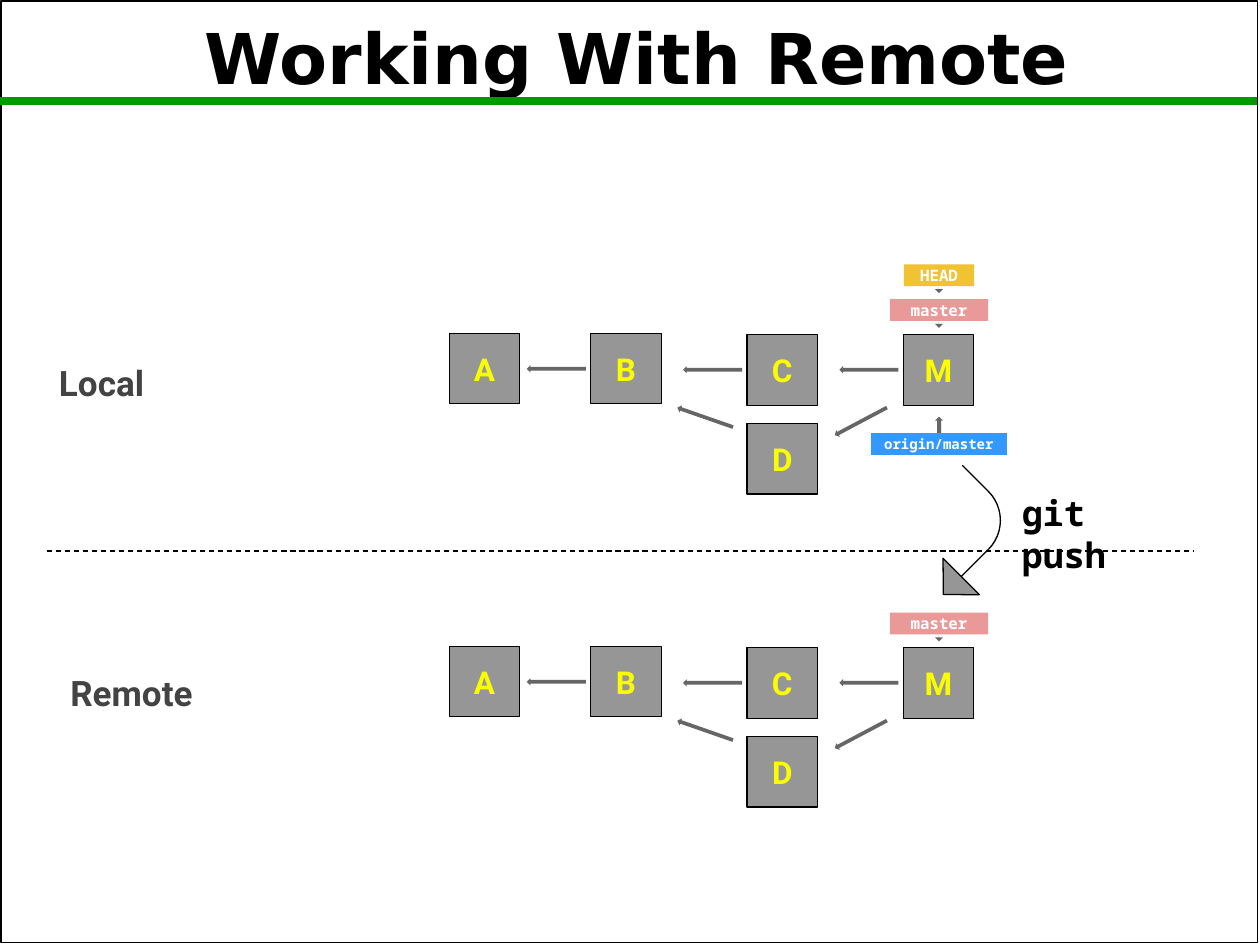
from pptx import Presentation
from pptx.dml.color import RGBColor
from pptx.enum.dml import MSO_LINE
from pptx.enum.shapes import MSO_CONNECTOR, MSO_SHAPE
from pptx.enum.text import MSO_ANCHOR, MSO_AUTO_SIZE, PP_ALIGN
from pptx.oxml.ns import qn
from pptx.util import Cm, Pt
from lxml import etree

RECT, LEFT, DOWN, BENT = (MSO_SHAPE.RECTANGLE, MSO_SHAPE.LEFT_ARROW,
                          MSO_SHAPE.DOWN_ARROW, MSO_SHAPE.BENT_ARROW)
CENTER, ALIGN_LEFT = PP_ALIGN.CENTER, PP_ALIGN.LEFT
TOP, MIDDLE = MSO_ANCHOR.TOP, MSO_ANCHOR.MIDDLE
rgb = RGBColor.from_string
MONO, SANS = "Noto Sans Mono", "Roboto"
GREY, ARROW, BLACK, WHITE = "969696", "666666", "000000", "FFFFFF"


def write(sp, text, size, font, color, align=CENTER, anchor=MIDDLE, margin=0):
    tf = sp.text_frame
    tf.word_wrap = True
    tf.auto_size = MSO_AUTO_SIZE.NONE
    tf.vertical_anchor = anchor
    tf.margin_left = tf.margin_right = tf.margin_top = tf.margin_bottom = Cm(margin)
    p = tf.paragraphs[0]
    p.alignment = align
    r = p.add_run()
    r.text = text
    r.font.size = Pt(size)
    r.font.name = font
    r.font.bold = True
    r.font.color.rgb = rgb(color)


def add_block(kind, x, y, w, h, fill=None, line=None, width=0.75, rot=0, adj=()):
    sp = s.shapes.add_shape(kind, Cm(x), Cm(y), Cm(w), Cm(h))
    sp.shadow.inherit = False
    sp.rotation = rot
    for i, value in enumerate(adj):
        sp.adjustments[i] = value
    if fill:
        sp.fill.solid()
        sp.fill.fore_color.rgb = rgb(fill)
    else:
        sp.fill.background()
    if line:
        sp.line.color.rgb = rgb(line)
        sp.line.width = Pt(width)
    else:
        sp.line.fill.background()
    return sp


prs = Presentation()
prs.slide_width, prs.slide_height = Cm(25.4), Cm(19.05)
s = prs.slides.add_slide(prs.slide_layouts[5])

add_block(RECT, 0.02, 0.02, 25.33, 18.98, line=BLACK, width=1)

title = s.shapes.title
title.left, title.top, title.width, title.height = Cm(1), Cm(0.23), Cm(23.67), Cm(1.6)
write(title, "Working With Remote", 40, "DejaVu Sans", BLACK, anchor=TOP, margin=0.25)
title.text_frame.paragraphs[0].line_spacing = 0.9

for x1, x2, y, color, width, dash in [
    (0, 25.33, 2.03, "009900", 4.5, None),
    (0.94, 24.06, 11.11, BLACK, 0.75, MSO_LINE.DASH),
]:
    rule = s.shapes.add_connector(MSO_CONNECTOR.STRAIGHT, Cm(x1), Cm(y), Cm(x2), Cm(y))
    rule.line.color.rgb = rgb(color)
    rule.line.width = Pt(width)
    if dash:
        rule.line.dash_style = dash
    etree.SubElement(rule._element.spPr, qn("a:effectLst"))

COMMITS = [("A", 9.06, 0), ("B", 11.91, 0), ("C", 15.06, 0.03),
           ("D", 15.06, 1.82), ("M", 18.21, 0.03)]
PARENT_ARROWS = [(10.62, 0.64, 0), (13.77, 0.66, 0), (16.92, 0.66, 0),
                 (13.62, 1.62, 19.2), (16.76, 1.7, 332.1)]
CENTER_X = 18.93

for top in (6.72, 13.03):
    for name, x, dy in COMMITS:
        commit = add_block(RECT, x, top + dy, 1.42, 1.42, GREY, BLACK)
        write(commit, name, 18, SANS, "FAFD00")
    for x, dy, rot in PARENT_ARROWS:
        add_block(LEFT, x, top + dy, 1.19, 0.15, ARROW, rot=rot)

for text, y, w, fill, size in [
    ("HEAD", 5.33, 1.42, "F1C232", 9),
    ("master", 6.03, 1.98, "EA9999", 9),
    ("master", 12.35, 1.98, "EA9999", 9),
    ("origin/master", 8.73, 2.74, "3399FF", 8),
]:
    if text == "origin/master":
        add_block(DOWN, CENTER_X - 0.08, y - 0.33, 0.16, 0.33, ARROW, rot=180)
    else:
        add_block(DOWN, CENTER_X - 0.08, y + 0.25, 0.16, 0.33, ARROW, adj=(0, 0.5))
    ref = add_block(RECT, CENTER_X - w / 2, y, w, 0.44, fill)
    write(ref, text, size, MONO, WHITE)

add_block(BENT, 18.34, 9.83, 2.11, 2.08, GREY, BLACK, rot=135,
          adj=(0, 0.25, 0.245, 0.398))

for text, x, y, w, h, font, color in [
    ("Local", 0.94, 7.04, 3.91, 1.02, SANS, "434343"),
    ("Remote", 1.17, 13.28, 3.91, 1.02, SANS, "434343"),
    ("git push", 20.35, 9.65, 3.33, 0.79, MONO, BLACK),
]:
    label = s.shapes.add_textbox(Cm(x), Cm(y), Cm(w), Cm(h))
    write(label, text, 20, font, color, ALIGN_LEFT, TOP, 0.25)

prs.save("out.pptx")
